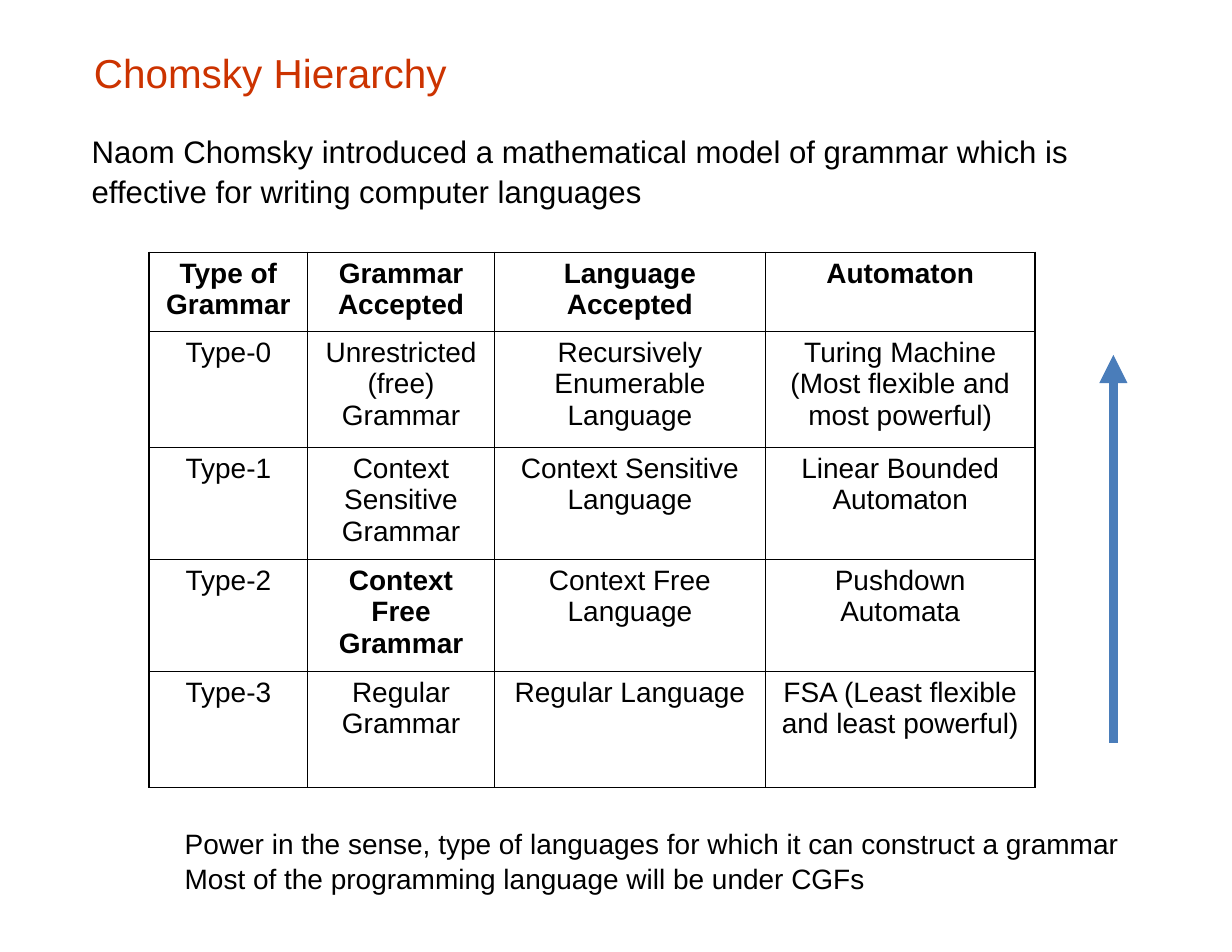
import pptx
import pptx.util
import pptx.dml.color
import pptx.enum.shapes
import pptx.enum.text
import pptx.oxml
import pptx.oxml.ns
from pptx.util import Cm

RED = pptx.dml.color.RGBColor(0xCC, 0x33, 0x00)
BLACK = pptx.dml.color.RGBColor(0, 0, 0)
BLUE = pptx.dml.color.RGBColor(0x4A, 0x7D, 0xBA)
FONT = "Arial"

COLUMN_WIDTHS = [3.6, 4.23, 6.15, 6.11]
ROW_HEIGHTS = [1.8, 2.63, 2.4, 2.4, 2.63]
GRAMMARS = [
    ["Type of Grammar", "Grammar Accepted", "Language Accepted", "Automaton"],
    ["Type-0", "Unrestricted (free) Grammar", "Recursively Enumerable Language",
     "Turing Machine\n(Most flexible and most powerful)"],
    ["Type-1", "Context Sensitive Grammar", "Context Sensitive Language",
     "Linear Bounded Automaton"],
    ["Type-2", "Context Free Grammar", "Context Free Language",
     "Pushdown Automata"],
    ["Type-3", "Regular Grammar", "Regular Language",
     "FSA (Least flexible and least powerful)"],
]
HIGHLIGHT = "Context Free Grammar"


def write_lines(frame, text, size, color=BLACK, bold=False, align=None, spacing=None):
    frame.word_wrap = True
    for index, line in enumerate(text.split("\n")):
        paragraph = frame.paragraphs[0] if index == 0 else frame.add_paragraph()
        paragraph.alignment = align
        paragraph.line_spacing = spacing
        run = paragraph.add_run()
        run.text = line
        run.font.name = FONT
        run.font.size = pptx.util.Pt(size)
        run.font.bold = bold
        run.font.color.rgb = color


def add_passage(slide, box, text, size, color=BLACK, margins=(0, 0), spacing=None):
    frame = slide.shapes.add_textbox(*map(Cm, box)).text_frame
    frame.margin_left = frame.margin_right = Cm(margins[0])
    frame.margin_top = frame.margin_bottom = Cm(margins[1])
    write_lines(frame, text, size, color, spacing=spacing)


def outline_cell(cell):
    properties = cell._tc.get_or_add_tcPr()
    for position, side in enumerate(("lnL", "lnR", "lnT", "lnB")):
        properties.insert(position, pptx.oxml.parse_xml(
            f'<a:{side} {pptx.oxml.ns.nsdecls("a")} w="12700"><a:solidFill>'
            f'<a:srgbClr val="{BLACK}"/></a:solidFill></a:{side}>'))


def add_hierarchy(slide, left, top):
    box = (left, top, sum(COLUMN_WIDTHS), sum(ROW_HEIGHTS))
    hierarchy = slide.shapes.add_table(
        len(ROW_HEIGHTS), len(COLUMN_WIDTHS), *map(Cm, box)).table
    hierarchy.first_row = hierarchy.horz_banding = False
    for column, width in zip(hierarchy.columns, COLUMN_WIDTHS):
        column.width = Cm(width)
    for row, height in zip(hierarchy.rows, ROW_HEIGHTS):
        row.height = Cm(height)
    for level, entries in enumerate(GRAMMARS):
        for place, entry in enumerate(entries):
            cell = hierarchy.cell(level, place)
            cell.fill.background()
            outline_cell(cell)
            write_lines(cell.text_frame, entry, 18,
                        bold=level == 0 or entry == HIGHLIGHT,
                        align=pptx.enum.text.PP_ALIGN.CENTER)


def add_power_arrow(slide, x, bottom, top):
    arrow = slide.shapes.add_connector(
        pptx.enum.shapes.MSO_CONNECTOR.STRAIGHT, Cm(x), Cm(bottom), Cm(x), Cm(top))
    arrow.line.color.rgb = BLUE
    arrow.line.width = pptx.util.Pt(6)
    line = arrow.line._get_or_add_ln()
    line.append(pptx.oxml.parse_xml(
        f'<a:tailEnd {pptx.oxml.ns.nsdecls("a")} type="triangle"/>'))
    line.addnext(pptx.oxml.parse_xml(
        f'<a:effectLst {pptx.oxml.ns.nsdecls("a")}/>'))


def main():
    deck = pptx.Presentation()
    deck.slide_width, deck.slide_height = Cm(27.94), Cm(21.59)
    slide = deck.slides.add_slide(deck.slide_layouts[6])
    add_passage(slide, (2.13, 1.1, 14.83, 1.14), "Chomsky Hierarchy", 26, RED)
    add_passage(slide, (2.08, 2.97, 22.38, 1.7),
                "Naom Chomsky introduced a mathematical model of grammar which is "
                "effective for writing computer languages", 20, spacing=1.05)
    add_hierarchy(slide, 3.38, 5.72)
    add_power_arrow(slide, 25.25, 16.84, 8.05)
    add_passage(slide, (3.94, 18.57, 21.89, 1.8),
                "Power in the sense, type of languages for which it can construct a grammar\n"
                "Most of the programming language will be under CGFs",
                18, margins=(0.25, 0.13), spacing=1.05)
    deck.save("out.pptx")


if __name__ == "__main__":
    main()
